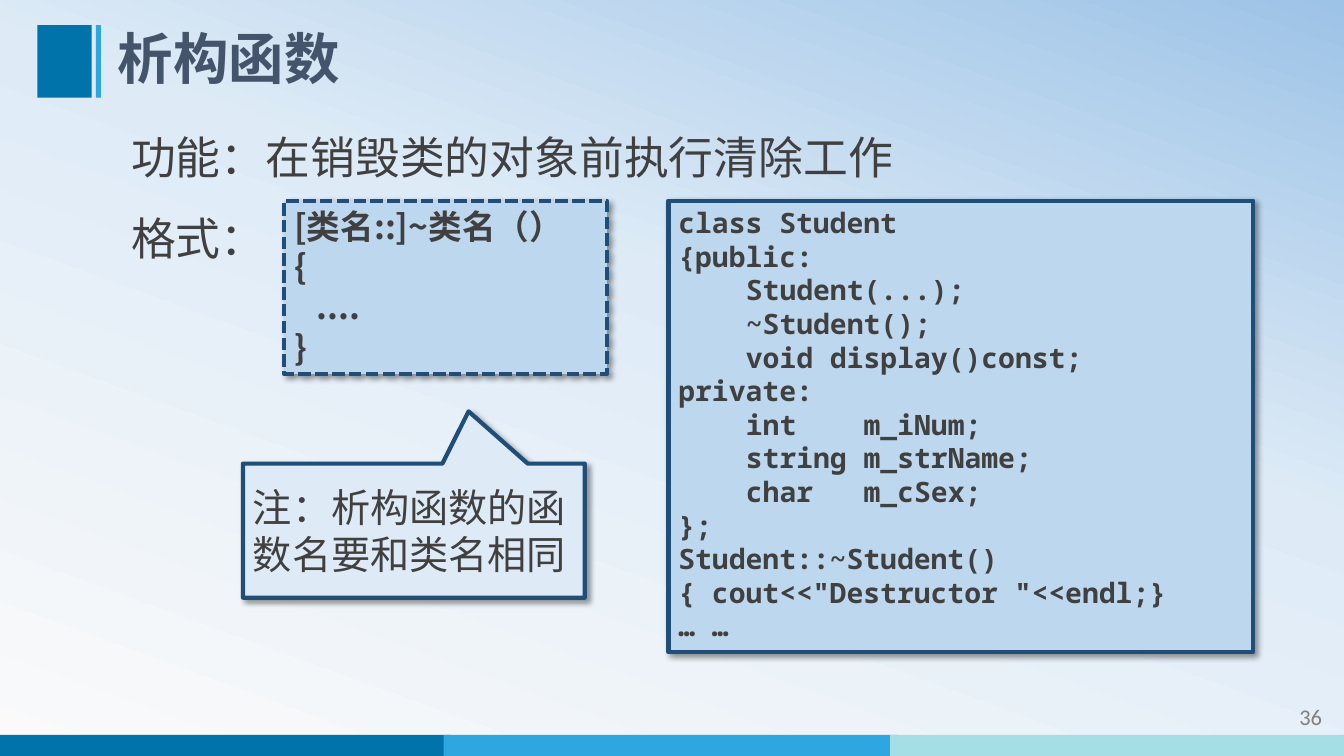
from lxml import etree
from pptx import Presentation
from pptx.dml.color import RGBColor
from pptx.enum import dml, shapes, text
from pptx.oxml import ns, parse_xml
from pptx.util import Inches, Pt

HAN, MONO, LATIN = "Noto Sans CJK SC", "Noto Sans Mono", "Calibri"
INK, NAVY, PALE, SKY = "404040", "1F4E79", "DEEBF7", "BDD7EE"
BLUE, AZURE, AQUA = "0073AB", "2EA7E0", "A5DEE4"
MEMBERS = [("int", "m_iNum"), ("string", "m_strName"), ("char", "m_cSex")]
# A leading tab marks an indented line.
CODE = ["class Student", "{public:", "\tStudent(...);", "\t~Student();",
        "\tvoid display()const;", "private:",
        *[f"\t{kind:<7}{name};" for kind, name in MEMBERS],
        "};", "Student::~Student()", '{ cout<<"Destructor "<<endl;}', "… …"]


def color(value):
    """Turn a hex string into a colour."""
    return RGBColor.from_string(value)


def child(parent, tag, **attributes):
    """Append a DrawingML element to parent."""
    element = etree.SubElement(parent, ns.qn(tag))
    for name, value in attributes.items():
        element.set(name, str(value))
    return element


def place(box, left, top, width, height):
    """Set position and size in inches."""
    box.left, box.top = Inches(left), Inches(top)
    box.width, box.height = Inches(width), Inches(height)


def write(box, lines, size, font, ink=INK, bold=False, spacing=1.0,
          align=text.PP_ALIGN.LEFT, anchor=text.MSO_ANCHOR.TOP, indent=0):
    """Fill a box with one paragraph per line, indenting tabbed lines."""
    frame = box.text_frame
    frame.word_wrap = True
    frame.auto_size = text.MSO_AUTO_SIZE.NONE
    frame.vertical_anchor = anchor
    for index, line in enumerate(lines):
        para = frame.add_paragraph() if index else frame.paragraphs[0]
        para.alignment, para.line_spacing = align, spacing
        para.space_before = Pt(0)
        margin = Inches(indent if line.startswith("\t") else 0)
        properties = para._p.get_or_add_pPr()
        properties.set("marL", str(margin))
        properties.set("indent", "0")
        child(properties, "a:buNone")
        span = para.add_run()
        span.text = line.lstrip("\t")
        span.font.size, span.font.bold = Pt(size), bold
        span.font.name, span.font.color.rgb = font, color(ink)
        child(span._r.get_or_add_rPr(), "a:ea", typeface=font)


def add_bar(page, left, top, width, height, fill):
    """Add a plain decorative rectangle."""
    bar = page.shapes.add_shape(shapes.MSO_SHAPE.RECTANGLE, Inches(left),
                                Inches(top), Inches(width), Inches(height))
    bar.shadow.inherit = False
    bar.fill.solid()
    bar.fill.fore_color.rgb = color(fill)
    bar.line.fill.background()


def add_panel(page, kind, left, top, width, height, fill):
    """Add an outlined panel with a soft drop shadow."""
    panel = page.shapes.add_shape(kind, Inches(left), Inches(top),
                                  Inches(width), Inches(height))
    panel.fill.solid()
    panel.fill.fore_color.rgb = color(fill)
    panel.line.color.rgb, panel.line.width = color(NAVY), Pt(3)
    panel.shadow.inherit = False
    effects = panel._element.spPr.find(ns.qn("a:effectLst"))
    shadow = child(effects, "a:outerShdw", blurRad=Pt(4), dist=Pt(3),
                   dir=45 * 60000, algn="tl", rotWithShape=0)
    child(child(shadow, "a:srgbClr", val="000000"), "a:alpha", val=40000)
    return panel


def set_background(page, stops, angle):
    """Give the page a linear gradient background."""
    background = parse_xml(
        f'<p:bg {ns.nsdecls("p", "a")}><p:bgPr><a:gradFill><a:gsLst/>'
        f'<a:lin ang="{angle * 60000}" scaled="0"/></a:gradFill>'
        '<a:effectLst/></p:bgPr></p:bg>')
    stop_list = background.find(".//" + ns.qn("a:gsLst"))
    for percent, value in stops:
        stop = child(stop_list, "a:gs", pos=percent * 1000)
        child(stop, "a:srgbClr", val=value)
    page._element.cSld.insert(0, background)


def main():
    """Build the destructor slide."""
    deck = Presentation()
    deck.slide_width, deck.slide_height = Inches(13.33), Inches(7.5)
    page = deck.slides.add_slide(deck.slide_layouts[1])
    set_background(page, [(0, "FAFAFA"), (58, PALE), (100, "9DC3E6")], 290)

    for index, fill in enumerate([BLUE, AZURE, AQUA]):
        add_bar(page, -0.03 + 4.43 * index, 7.29, 4.5, 0.21, fill)
    add_bar(page, 0.37, 0.25, 0.54, 0.72, BLUE)
    add_bar(page, 0.95, 0.25, 0.05, 0.72, AZURE)

    title, body = page.shapes.title, page.placeholders[1]
    place(title, 1.07, 0.25, 10.86, 0.72)
    write(title, ["析构函数"], 39.6, HAN, "44546A", bold=True, spacing=0.9,
          anchor=text.MSO_ANCHOR.MIDDLE)
    place(body, 1.2, 0.97, 10.61, 1.62)
    write(body, ["功能：在销毁类的对象前执行清除工作", "格式："], 32, HAN,
          spacing=1.5)

    number = page.shapes.add_textbox(Inches(11.62), Inches(6.91),
                                     Inches(1.59), Inches(0.4))
    write(number, ["36"], 16, LATIN, "808080", align=text.PP_ALIGN.RIGHT,
          anchor=text.MSO_ANCHOR.MIDDLE)

    rectangle = shapes.MSO_SHAPE.RECTANGLE
    syntax = add_panel(page, rectangle, 2.82, 1.99, 3.2, 1.72, SKY)
    syntax.line.dash_style = dml.MSO_LINE.SQUARE_DOT
    write(syntax, ["[类名::]~类名（）", "{", "\t....", "}"], 24, HAN,
          bold=True, indent=0.22)

    example = add_panel(page, rectangle, 6.63, 1.99, 5.8, 4.48, SKY)
    write(example, CODE, 20, MONO, bold=True, indent=0.67)

    callout = shapes.MSO_SHAPE.RECTANGULAR_CALLOUT
    note = add_panel(page, callout, 2.41, 4.6, 3.39, 1.33, PALE)
    note.adjustments[0], note.adjustments[1] = 0.16, -0.89
    write(note, ["注：析构函数的函数名要和类名相同"], 28, HAN,
          anchor=text.MSO_ANCHOR.MIDDLE)

    deck.save("out.pptx")


main()
